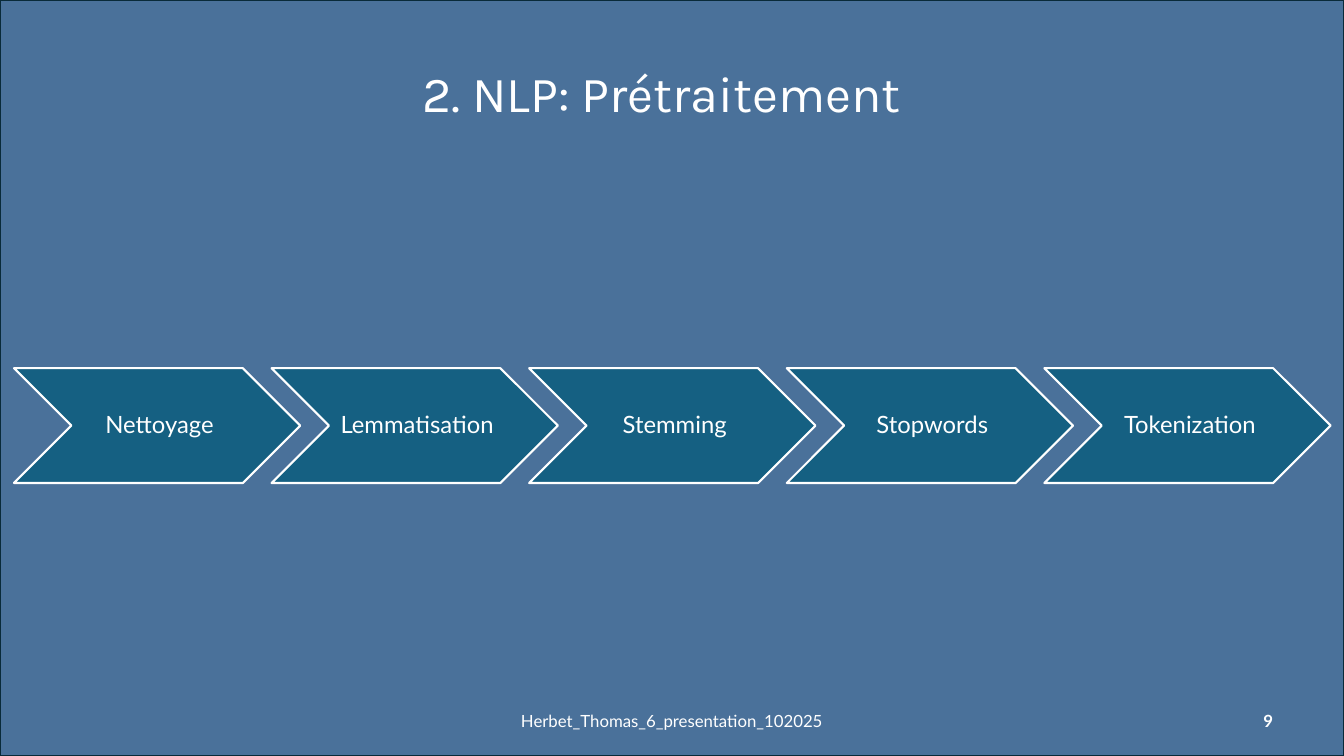
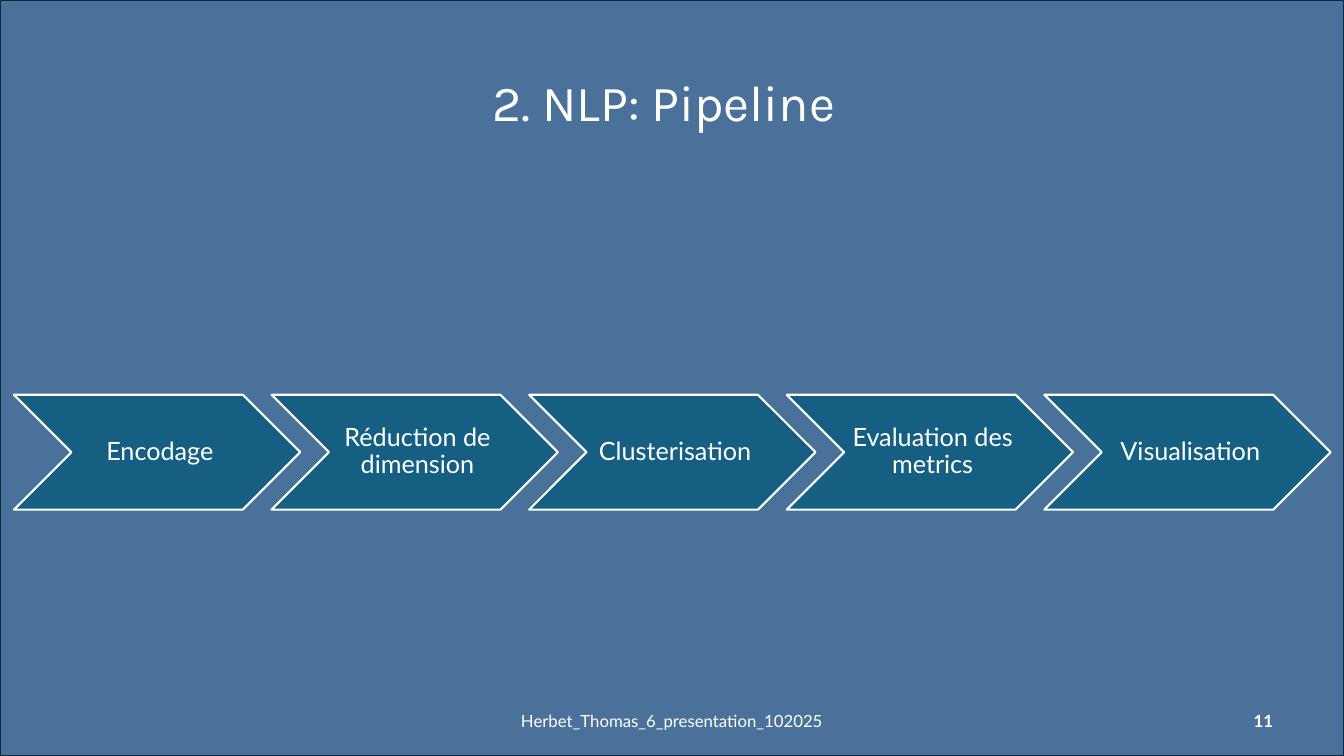
from dataclasses import dataclass
from typing import Any

from pptx import Presentation
from pptx.dml.color import RGBColor as Rgb
from pptx.enum.shapes import MSO_SHAPE as Kind
from pptx.enum.text import MSO_ANCHOR as Anchor, PP_ALIGN as Align
from pptx.util import Pt

HUES = {"back": "4A719A", "edge": "092A39", "step": "156082", "white": "FFFFFF"}
WIDE, HIGH = 960, 540
FOOT = "Herbet_Thomas_6_presentation_102025"
TITLE = {"name": "Karla", "size": Pt(36)}
NOTE = {"name": "Lato", "size": Pt(12)}
BOLD = NOTE | {"bold": True}

STEP_X, STEP_W, STEP_H, PITCH = 10, 204.5, 82, 184


@dataclass(frozen=True)
class Box:
    x: float
    y: float
    w: float
    h: float

    def pts(self) -> list[Pt]:
        return [Pt(n) for n in (self.x, self.y, self.w, self.h)]


@dataclass(frozen=True)
class Page:
    title: str
    head: Box
    num: int
    steps: tuple[str, ...]
    top: float
    size: float
    pad: float
    inset: float


PAGES = (
    Page("2. NLP: Prétraitement", Box(294.5, 40.5, 400, 51), 9,
         ("Nettoyage", "Lemmatisation", "Stemming", "Stopwords", "Tokenization"),
         263, 17, 5, 1.5),
    Page("2. NLP: Pipeline", Box(344.5, 47, 271, 51), 11,
         ("Encodage", "Réduction de dimension", "Clusterisation",
          "Evaluation des metrics", "Visualisation"),
         282, 18, 6, 2),
)


def set_all(item: Any, form: dict[str, Any]) -> None:
    for key, val in form.items():
        setattr(item, key, val)


def write(shape: Any, text: str, font: dict[str, Any], align: Align,
          anchor: Anchor = Anchor.MIDDLE) -> None:
    frame = shape.text_frame
    set_all(frame, {"word_wrap": True, "vertical_anchor": anchor})
    para = frame.paragraphs[0]
    para.alignment = align
    run = para.add_run()
    run.text = text
    set_all(run.font, font)
    run.font.color.rgb = Rgb.from_string(HUES["white"])


def add_text(slide: Any, box: Box, *args: Any) -> None:
    write(slide.shapes.add_textbox(*box.pts()), *args)


def add_block(slide: Any, kind: Kind, box: Box, fill: str, line: str) -> Any:
    shape = slide.shapes.add_shape(kind, *box.pts())
    shape.shadow.inherit = False
    shape.fill.solid()
    shape.fill.fore_color.rgb = Rgb.from_string(HUES[fill])
    shape.line.color.rgb = Rgb.from_string(HUES[line])
    shape.line.width = Pt(1.5)
    return shape


def add_frame(slide: Any, page: Page) -> None:
    add_block(slide, Kind.RECTANGLE, Box(0, 0, WIDE, HIGH), "back", "edge")
    add_text(slide, Box(700.5, 500.5, 216, 28.75), str(page.num), BOLD, Align.RIGHT)
    add_text(slide, Box(318, 500.5, 324, 28.75), FOOT, NOTE, Align.CENTER)
    add_text(slide, page.head, page.title, TITLE, Align.LEFT, Anchor.TOP)


def add_steps(slide: Any, page: Page) -> None:
    font = {"name": "Lato", "size": Pt(page.size)}
    inset = Pt(page.inset)
    pads = {"margin_left": Pt(page.pad), "margin_right": inset,
            "margin_top": inset, "margin_bottom": inset}
    for i, step in enumerate(page.steps):
        box = Box(STEP_X + i * PITCH, page.top, STEP_W, STEP_H)
        shape = add_block(slide, Kind.CHEVRON, box, "step", "white")
        write(shape, step, font, Align.CENTER)
        set_all(shape.text_frame, pads)
        shape.text_frame.paragraphs[0].line_spacing = 0.9


def main() -> None:
    deck = Presentation()
    set_all(deck, {"slide_width": Pt(WIDE), "slide_height": Pt(HIGH)})
    for page in PAGES:
        slide = deck.slides.add_slide(deck.slide_layouts[6])
        add_frame(slide, page)
        add_steps(slide, page)
    deck.save("out.pptx")


if __name__ == "__main__":
    main()
